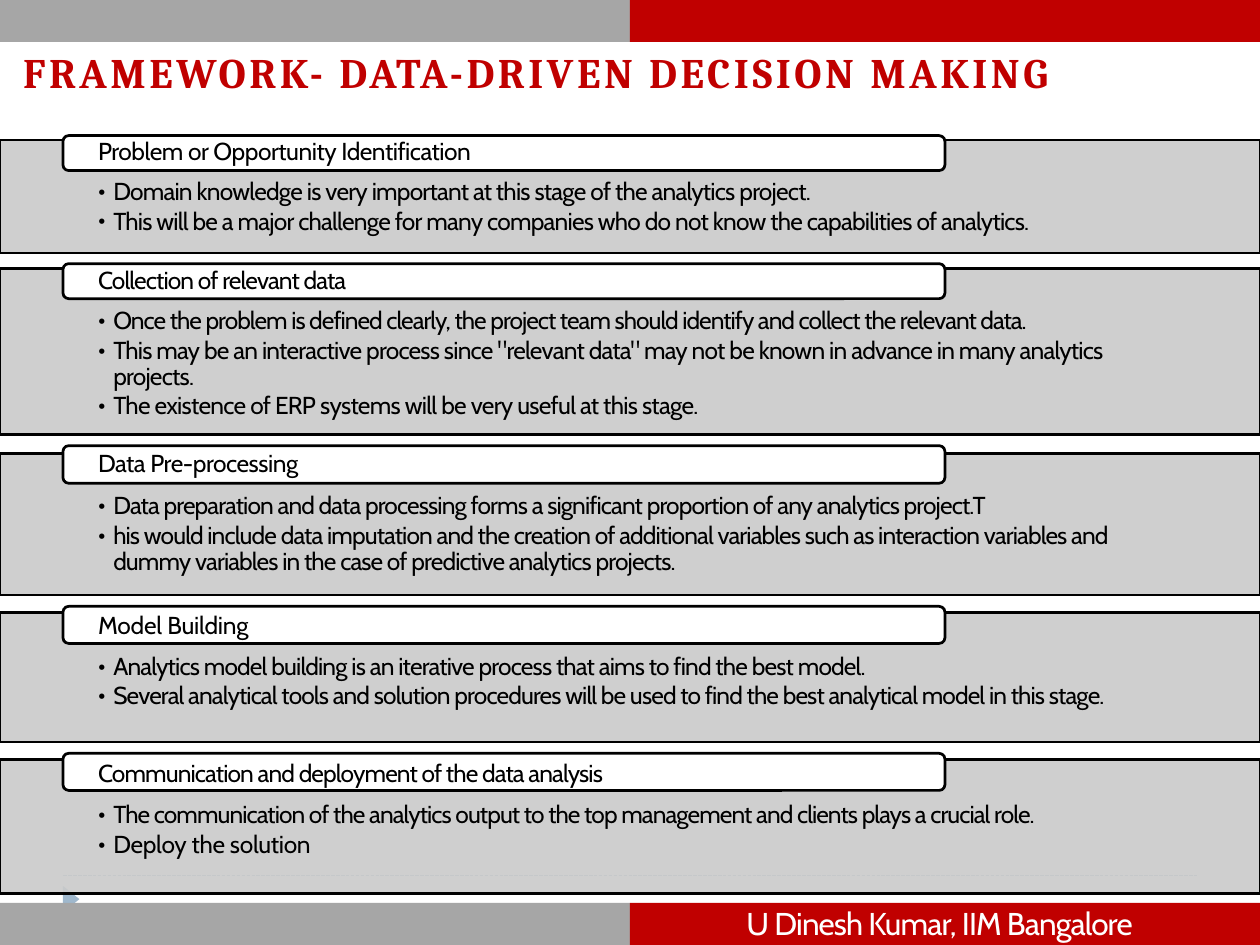
from lxml import etree
from pptx import Presentation
from pptx.dml.color import RGBColor
from pptx.enum import dml, shapes, text
from pptx.oxml.ns import qn
from pptx.util import Pt

THEME = {
    "red": "C00000", "grey": "A6A6A6", "panel": "CACACA", "blue": "9FB8CD",
    "black": "000000", "white": "FFFFFF",
    "title": ("Cambria", 24), "body": ("Cabin", 14), "footer": ("Cabin", 18),
    "outline": 1.56, "panel_alpha": 90,
}
SLIDE_W, SLIDE_H, BAR_H = 720, 540, 24
HEADING_X, HEADING_W, CORNER = 36, 504, 3.3
HEADING_INDENT, BULLET_INDENT, HANGING = 55.3, 64, -8.6

# Paragraphs: (text, letter spacing, space before[, line spacing])
TITLE = ("FRAMEWORK- DATA-DRIVEN DECISION MAKING", 2.04, 1)
FOOTER = ("U Dinesh Kumar, IIM Bangalore", -0.5, 1)

# Stages: panel (top, bottom), heading box (top, height), texts
STAGES = [
    {"panel": (80, 144.6), "box": (77.5, 20),
     "heading": ("Problem or Opportunity Identification", -0.29, 7),
     "bullets": [
         ("Domain knowledge is very important at this stage of the analytics project.", -0.44, 6),
         ("This will be a major challenge for many companies who do not know the "
          "capabilities of analytics.", -0.44, 0)]},
    {"panel": (153.4, 248.4), "box": (150.7, 20),
     "heading": ("Collection of relevant data", -0.5, 17.2),
     "bullets": [
         ("Once the problem is defined clearly, the project team should identify and "
          "collect the relevant data.", -0.56, 6.1),
         ("This may be an interactive process since \"relevant data\" may not be known "
          "in advance in many analytics projects.", -0.46, 2.6, 14.6),
         ("The existence of ERP systems will be very useful at this stage.", -0.43, 0.1)]},
    {"panel": (259, 340), "box": (254.7, 21.5),
     "heading": ("Data Pre-processing", -0.27, 16.2),
     "bullets": [
         ("Data preparation and data processing forms a significant proportion of any "
          "analytics project.T", -0.5, 7),
         ("his would include data imputation and the creation of additional variables "
          "such as interaction variables and dummy variables in the case of predictive "
          "analytics projects.", -0.51, 2.5, 14.7)]},
    {"panel": (350, 424), "box": (346.5, 21.2),
     "heading": ("Model Building", -0.14, 20),
     "bullets": [
         ("Analytics model building is an iterative process that aims to find the best "
          "model.", -0.49, 6.5),
         ("Several analytical tools and solution procedures will be used to find the "
          "best analytical model in this stage.", -0.52, 0)]},
    {"panel": (434.2, 510.5), "box": (430.5, 21.2),
     "heading": ("Communication and deployment of the data analysis", -0.5, 27.7),
     "bullets": [
         ("The communication of the analytics output to the top management and clients "
          "plays a crucial role.", -0.54, 6.7),
         ("Deploy the solution", -0.19, 0.2)]},
]


def color(name):
    return RGBColor.from_string(THEME[name])


def paint(shape, fill, outlined=False):
    shape.shadow.inherit = False
    shape.fill.solid()
    shape.fill.fore_color.rgb = color(fill)
    if outlined:
        shape.line.color.rgb = color("black")
        shape.line.width = Pt(THEME["outline"])
    else:
        shape.line.fill.background()
    return shape


def add_block(slide, kind, box, fill, outlined=False):
    return paint(slide.shapes.add_shape(kind, *map(Pt, box)), fill, outlined)


def add_text_frame(slide, box, top=0.7, right=0):
    frame = slide.shapes.add_textbox(*map(Pt, box)).text_frame
    layout = {"word_wrap": True, "margin_left": 0, "margin_top": Pt(top),
              "margin_right": Pt(right), "margin_bottom": 0,
              "vertical_anchor": text.MSO_ANCHOR.TOP}
    for key, value in layout.items():
        setattr(frame, key, value)
    return frame


def write(paragraph, content, style, ink, indent=1, bullet=False, bold=False):
    words, tracking, before, *leading = content
    font, size = THEME[style]
    paragraph.space_before = Pt(before)
    if leading:
        paragraph.line_spacing = Pt(leading[0])
    props = paragraph._p.get_or_add_pPr()
    props.set("marL", str(Pt(indent)))
    props.set("indent", str(Pt(HANGING if bullet else 0)))
    if bullet:
        etree.SubElement(props, qn("a:buFont")).set("typeface", font)
        etree.SubElement(props, qn("a:buChar")).set("char", "•")
    run = paragraph.add_run()
    run.text = words
    for key, value in {"name": font, "size": Pt(size), "bold": bold}.items():
        setattr(run.font, key, value)
    run.font.color.rgb = color(ink)
    run._r.get_or_add_rPr().set("spc", str(round(tracking * 100)))


def add_stage_boxes(slide, stage):
    top, bottom = stage["panel"]
    panel = add_block(slide, shapes.MSO_SHAPE.RECTANGLE,
                      (0, top, SLIDE_W, bottom - top), "panel", True)
    tint = panel.fill._xPr.find(qn("a:solidFill"))[0]
    etree.SubElement(tint, qn("a:alpha")).set("val", str(THEME["panel_alpha"] * 1000))
    top, height = stage["box"]
    heading = add_block(slide, shapes.MSO_SHAPE.ROUNDED_RECTANGLE,
                        (HEADING_X, top, HEADING_W, height), "white", True)
    heading.adjustments[0] = CORNER / height


def main():
    deck = Presentation()
    deck.slide_width, deck.slide_height = Pt(SLIDE_W), Pt(SLIDE_H)
    slide = deck.slides.add_slide(deck.slide_layouts[6])

    # Footer rule and page marker
    rule = slide.shapes.add_connector(shapes.MSO_CONNECTOR.STRAIGHT,
                                      Pt(36), Pt(500.4), Pt(684), Pt(500.4))
    rule.line.color.rgb = color("blue")
    rule.line.width = Pt(0.72)
    rule.line.dash_style = dml.MSO_LINE.SQUARE_DOT
    etree.SubElement(rule._element.spPr, qn("a:effectLst"))
    marker = slide.shapes.build_freeform(Pt(36), Pt(506.2))
    marker.add_line_segments([(Pt(36), Pt(521.3)), (Pt(45.4), Pt(513.8))])
    paint(marker.convert_to_shape(), "blue")

    # Two-colour bars at top and bottom
    half = SLIDE_W / 2
    for top in (0, SLIDE_H - BAR_H):
        for left, fill in ((0, "grey"), (half, "red")):
            add_block(slide, shapes.MSO_SHAPE.RECTANGLE, (left, top, half, BAR_H), fill)

    # Footer and title
    footer = add_text_frame(slide, (425.5, 515.8, 229, 24))
    write(footer.paragraphs[0], FOOTER, "footer", "white")
    title = add_text_frame(slide, (12.2, 25.6, 616, 31))
    write(title.paragraphs[0], TITLE, "title", "red", bold=True)

    # Stage panels, then one running text over them
    for stage in STAGES:
        add_stage_boxes(slide, stage)
    body = add_text_frame(slide, (0.7, 70.6, 719.3, 419), top=7.2, right=72)
    for number, stage in enumerate(STAGES):
        heading = body.add_paragraph() if number else body.paragraphs[0]
        write(heading, stage["heading"], "body", "black", HEADING_INDENT)
        for bullet in stage["bullets"]:
            write(body.add_paragraph(), bullet, "body", "black", BULLET_INDENT, bullet=True)

    deck.save("out.pptx")


if __name__ == "__main__":
    main()
